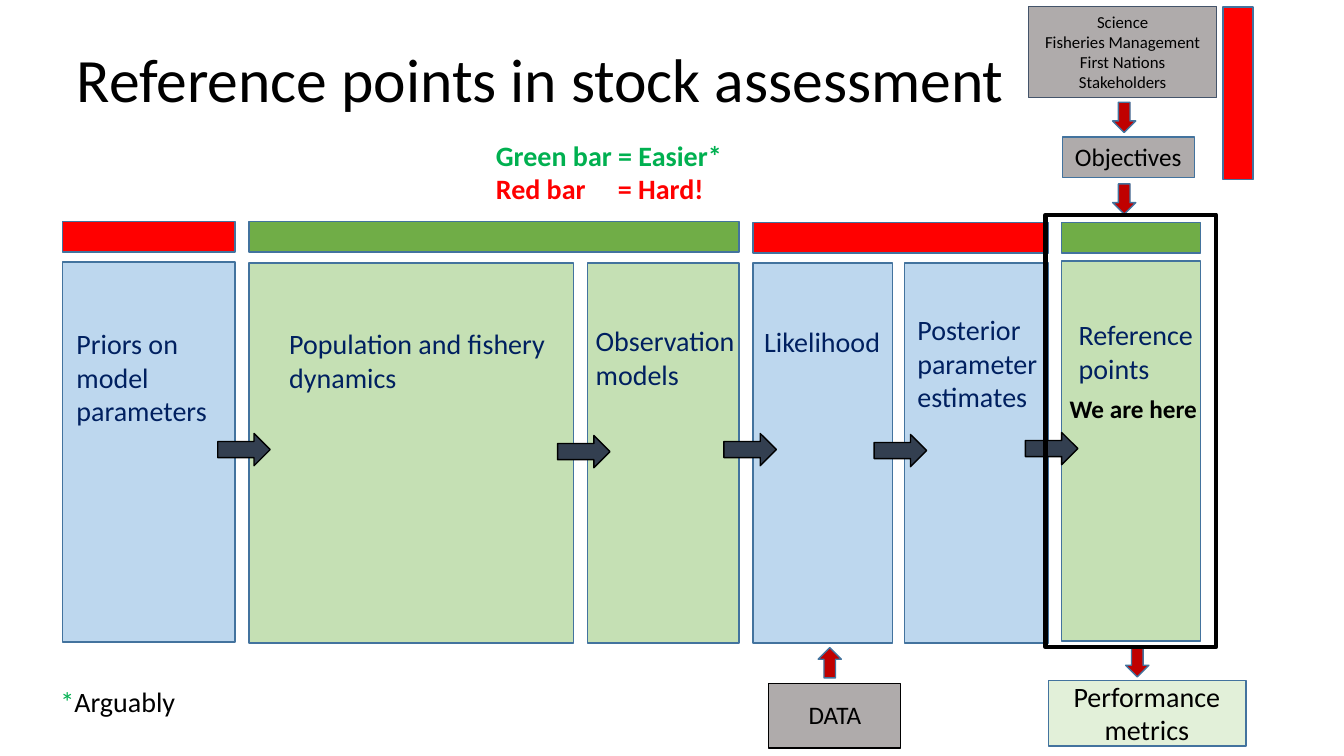
"""Build the slide on reference points in stock assessment."""
from lxml import etree
from pptx import Presentation
from pptx.dml.color import RGBColor
from pptx.enum.shapes import MSO_SHAPE
from pptx.enum.text import MSO_ANCHOR, PP_ALIGN
from pptx.oxml.ns import qn
from pptx.util import Pt

RECT, ARROW = MSO_SHAPE.RECTANGLE, MSO_SHAPE.RIGHT_ARROW
LEFT, CENTER = PP_ALIGN.LEFT, PP_ALIGN.CENTER
MIDDLE = MSO_ANCHOR.MIDDLE
PX = 9144
C = {
    "black": "000000", "navy": "002060", "slate": "333F50", "edge": "43739E",
    "steel": "44546A", "gray": "AFABAB", "blue": "BDD7EE", "green": "C5E0B4",
    "pale": "E2F0D9", "bar_green": "70AD47", "red": "FF0000",
    "dark_red": "C00000", "text_green": "00B050",
}

prs = Presentation()
prs.slide_width, prs.slide_height = 1333 * PX, 750 * PX
s = prs.slides.add_slide(prs.slide_layouts[5])


def add_box(kind, at, fill, line="edge", width=1, rotation=0):
    sp = s.shapes.add_shape(kind, *[v * PX for v in at])
    sp.shadow.inherit = False
    sp.rotation = rotation
    if fill:
        sp.fill.solid()
        sp.fill.fore_color.rgb = RGBColor.from_string(C[fill])
    else:
        sp.fill.background()
    sp.line.color.rgb = RGBColor.from_string(C[line])
    sp.line.width = Pt(width)
    return sp


def write(sp, text, size, color="black", align=LEFT, bold=False):
    tf = sp.text_frame
    tf.word_wrap = True
    tf.text = text
    for p in tf.paragraphs:
        p.alignment = align
        for r in p.runs:
            r.font.name = "Calibri"
            r.font.size = Pt(size)
            r.font.bold = bold
            r.font.color.rgb = RGBColor.from_string(C[color])
    return tf


title = s.shapes.title
title.left, title.top, title.width, title.height = [
    v * PX for v in (66, 9, 1221, 145)]
tf = write(title, "Reference points in stock assessment", 44)
tf.vertical_anchor = MIDDLE
tf.paragraphs[0].line_spacing = 0.9

stages = [
    (62, 260, 171, "blue"), (247, 261, 322, "green"), (583, 261, 150, "green"),
    (747, 261, 138, "blue"), (897, 261, 143, "blue"), (1053, 259, 138, "green"),
]
for x, y, w, fill in stages:
    add_box(RECT, (x, y, w, 377), fill)

add_box(RECT, (1054, 136, 131, 40), "gray")
add_box(RECT, (762, 678, 131, 64), "gray", "black")
add_box(RECT, (1040, 675, 196, 65), "pale")

for x, y, rotation in [(808, 646, 270), (1100, 105, 90),
                       (1100, 186, 90), (1113, 645, 90)]:
    add_box(ARROW, (x, y, 30, 23), "dark_red", rotation=rotation)

for x, y in [(216, 430), (553, 432), (718, 430), (867, 431), (1017, 429)]:
    add_box(ARROW, (x, y, 52, 32), "slate", "black")

bars = [
    (247, 220, 486, 30, "bar_green"), (62, 220, 171, 30, "red"),
    (747, 221, 293, 30, "red"), (1053, 221, 138, 30, "bar_green"),
    (1213, 7, 30, 171, "red"),
]
for *at, fill in bars:
    add_box(RECT, at, fill)

labels = [
    ((66, 319, 160, 111), "Priors on model parameters", 20, "navy", LEFT),
    ((277, 319, 302, 77), "Population and fishery dynamics", 20, "navy", LEFT),
    ((581, 316, 173, 77), "Observation models", 20, "navy", LEFT),
    ((748, 317, 149, 44), "Likelihood", 20, "navy", LEFT),
    ((900, 305, 139, 111), "Posterior parameter estimates", 20, "navy", LEFT),
    ((1060, 310, 149, 77), "Reference\npoints", 20, "navy", LEFT),
    ((1053, 135, 132, 40), "Objectives", 18, "black", CENTER),
    ((782, 689, 92, 40), "DATA", 18, "black", CENTER),
    ((1047, 669, 181, 77), "Performance metrics", 20, "black", CENTER),
]
for at, text, size, color, align in labels:
    sp = s.shapes.add_textbox(*[v * PX for v in at])
    write(sp, text, size, color, align)

people = add_box(RECT, (1020, 6, 187, 91), "gray", "steel", 0.75)
tf = write(people, "Science\nFisheries Management\nFirst Nations\nStakeholders",
           12, align=CENTER)
tf.vertical_anchor = MIDDLE

legend = s.shapes.add_textbox(482 * PX, 132 * PX, 450 * PX, 77 * PX)
tf = write(legend, "Green bar = Easier*\nRed bar\t= Hard!", 20, "text_green", bold=True)
p = tf.paragraphs[1]
for r in p.runs:
    r.font.color.rgb = RGBColor.from_string(C["red"])
tabs = etree.SubElement(p._p.get_or_add_pPr(), qn("a:tabLst"))
etree.SubElement(tabs, qn("a:tab"), pos=str(121 * PX), algn="l")

footnote = s.shapes.add_textbox(50 * PX, 674 * PX, 159 * PX, 44 * PX)
p = write(footnote, "*", 20, "text_green").paragraphs[0]
r = p.add_run()
r.text = "Arguably"
r.font.name = "Calibri"
r.font.size = Pt(20)
r.font.color.rgb = RGBColor.from_string(C["black"])

frame = add_box(RECT, (1037, 213, 169, 429), None, "black", 3)
here = s.shapes.add_textbox(1051 * PX, 385 * PX, 149 * PX, 40 * PX)
write(here, "We are here", 18, bold=True)
s.shapes.add_group_shape([frame, here])

prs.save("out.pptx")
